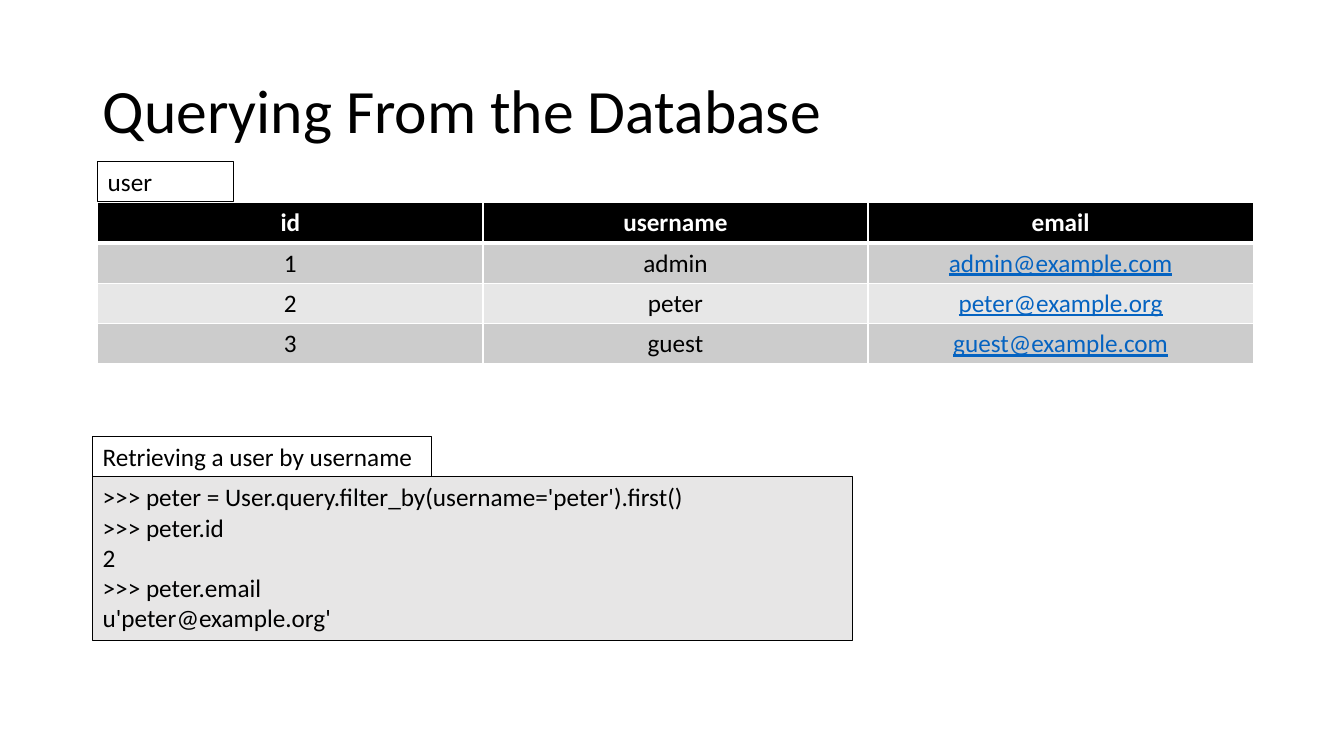
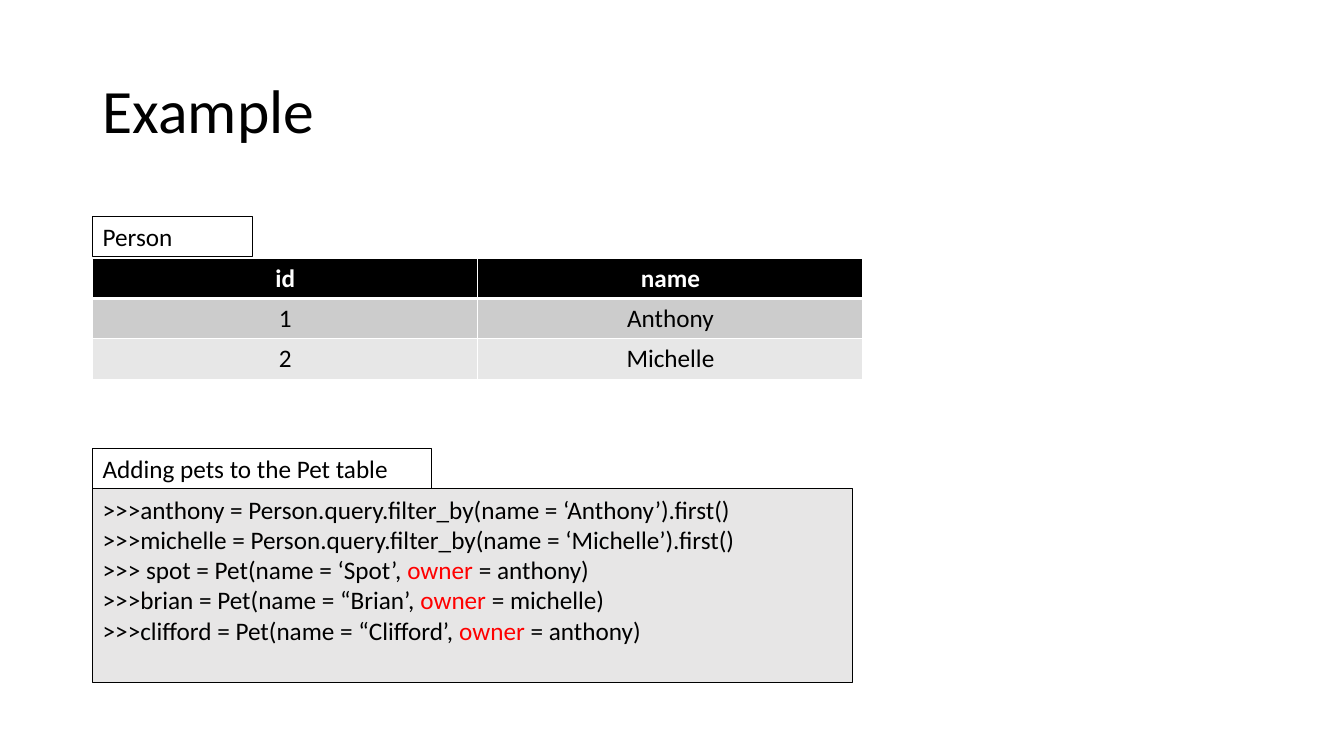
from lxml.etree import SubElement as Sub
from pptx import Presentation
from pptx.dml.color import RGBColor as Rgb
from pptx.enum.shapes import MSO_SHAPE as Shape
from pptx.enum.text import MSO_ANCHOR as Anchor, PP_ALIGN as Align
from pptx.oxml.ns import qn
from pptx.util import Inches, Pt

# Text between bars is accented.
SLIDES = [
    dict(
        title="Querying From the Database",
        name="user", name_w=1.35, left=0.97, top=1.6,
        rows=[
            ("id", "username", "email"),
            ("1", "admin", "admin@example.com"),
            ("2", "peter", "peter@example.org"),
            ("3", "guest", "guest@example.com"),
        ],
        label="Retrieving a user by username", label_top=4.33, code_h=1.62,
        code=[
            ">>> peter = User.query.filter_by(username='peter').first()",
            ">>> peter.id",
            "2",
            ">>> peter.email",
            "u'peter@example.org'",
        ],
    ),
    dict(
        title="Example",
        name="Person", name_w=1.58, left=0.92, top=2.15,
        rows=[("id", "name"), ("1", "Anthony"), ("2", "Michelle")],
        label="Adding pets to the Pet table", label_top=4.45, code_h=1.92,
        code=[
            ">>>anthony = Person.query.filter_by(name = ‘Anthony’).first()",
            ">>>michelle = Person.query.filter_by(name = ‘Michelle’).first()",
            ">>> spot = Pet(name = ‘Spot’, |owner| = anthony)",
            ">>>brian = Pet(name = “Brian’, |owner| = michelle)",
            ">>>clifford = Pet(name = “Clifford’, |owner| = anthony)",
        ],
    ),
]

INK = dict(text="000000", paper="FFFFFF", code="E7E6E6", odd="CCCCCC",
           even="E7E7E7", link="0563C1", accent="FF0000")
FONT = "Calibri"
WIDE, HIGH = 13.33, 7.5
EDGE = 0.92
ROW, COL = 0.4, 3.82
TITLE = (EDGE, 0.4, 11.5, 1.45)
LABEL_W, CODE_W = 3.36, 7.54


def tint(name):
    """Return the named colour."""
    return Rgb.from_string(INK[name])


def write(frame, lines, size=18, color="text", bold=False, line=False,
          align=Align.LEFT, space=1.0):
    """Fill a text frame, one paragraph per line."""
    for i, text in enumerate(lines):
        para = frame.paragraphs[0] if i == 0 else frame.add_paragraph()
        para.alignment, para.line_spacing = align, space
        for j, part in enumerate(text.split("|")):
            run = para.add_run()
            run.text = part
            font = run.font
            font.name, font.size, font.bold = FONT, Pt(size), bold
            font.underline = line
            font.color.rgb = tint("accent" if j % 2 else color)


def add_title(slide, text):
    """Add the slide title."""
    frame = slide.shapes.add_textbox(*map(Inches, TITLE)).text_frame
    frame.word_wrap = True
    frame.vertical_anchor = Anchor.MIDDLE
    write(frame, [text], size=44, space=0.9)


def add_box(slide, area, lines, fill=None):
    """Add an outlined box with text at its top left."""
    box = slide.shapes.add_shape(Shape.RECTANGLE, *map(Inches, area))
    box.shadow.inherit = False
    if fill:
        box.fill.solid()
        box.fill.fore_color.rgb = tint(fill)
    else:
        box.fill.background()
    box.line.color.rgb = tint("text")
    box.line.width = Pt(0.75)
    box.text_frame.word_wrap = True
    box.text_frame.vertical_anchor = Anchor.TOP
    write(box.text_frame, lines)


def add_edges(cell, row):
    """Draw white cell borders, thicker below the header."""
    wide = dict(L=1, R=1, T=3 if row == 1 else 1, B=3 if row == 0 else 1)
    props = cell._tc.get_or_add_tcPr()
    for side, width in wide.items():
        edge = Sub(props, qn("a:ln" + side), w=str(Pt(width)))
        fill = Sub(edge, qn("a:solidFill"))
        Sub(fill, qn("a:srgbClr"), val=INK["paper"])


def add_grid(slide, left, top, rows):
    """Add a table with a dark header and banded rows."""
    count, cols = len(rows), len(rows[0])
    area = (left, top, COL * cols, ROW * count)
    grid = slide.shapes.add_table(count, cols, *map(Inches, area)).table
    for col in grid.columns:
        col.width = Inches(COL)
    for r, row in enumerate(rows):
        for c, text in enumerate(row):
            cell = grid.cell(r, c)
            add_edges(cell, r)
            cell.fill.solid()
            band = "odd" if r % 2 else "even"
            cell.fill.fore_color.rgb = tint("text" if r == 0 else band)
            link = "@" in text
            color = "paper" if r == 0 else "link" if link else "text"
            write(cell.text_frame, [text], color=color, bold=r == 0,
                  line=link, align=Align.CENTER)


def build(deck, data):
    """Add one slide: title, named table and labelled code."""
    slide = deck.slides.add_slide(deck.slide_layouts[6])
    left, top, mid = data["left"], data["top"], data["label_top"]
    add_title(slide, data["title"])
    add_grid(slide, left, top + ROW + 0.01, data["rows"])
    add_box(slide, (left, top, data["name_w"], ROW), [data["name"]])
    add_box(slide, (EDGE, mid + ROW, CODE_W, data["code_h"]), data["code"],
            fill="code")
    add_box(slide, (EDGE, mid, LABEL_W, ROW), [data["label"]])


deck = Presentation()
deck.slide_width, deck.slide_height = Inches(WIDE), Inches(HIGH)
for data in SLIDES:
    build(deck, data)
deck.save("out.pptx")
